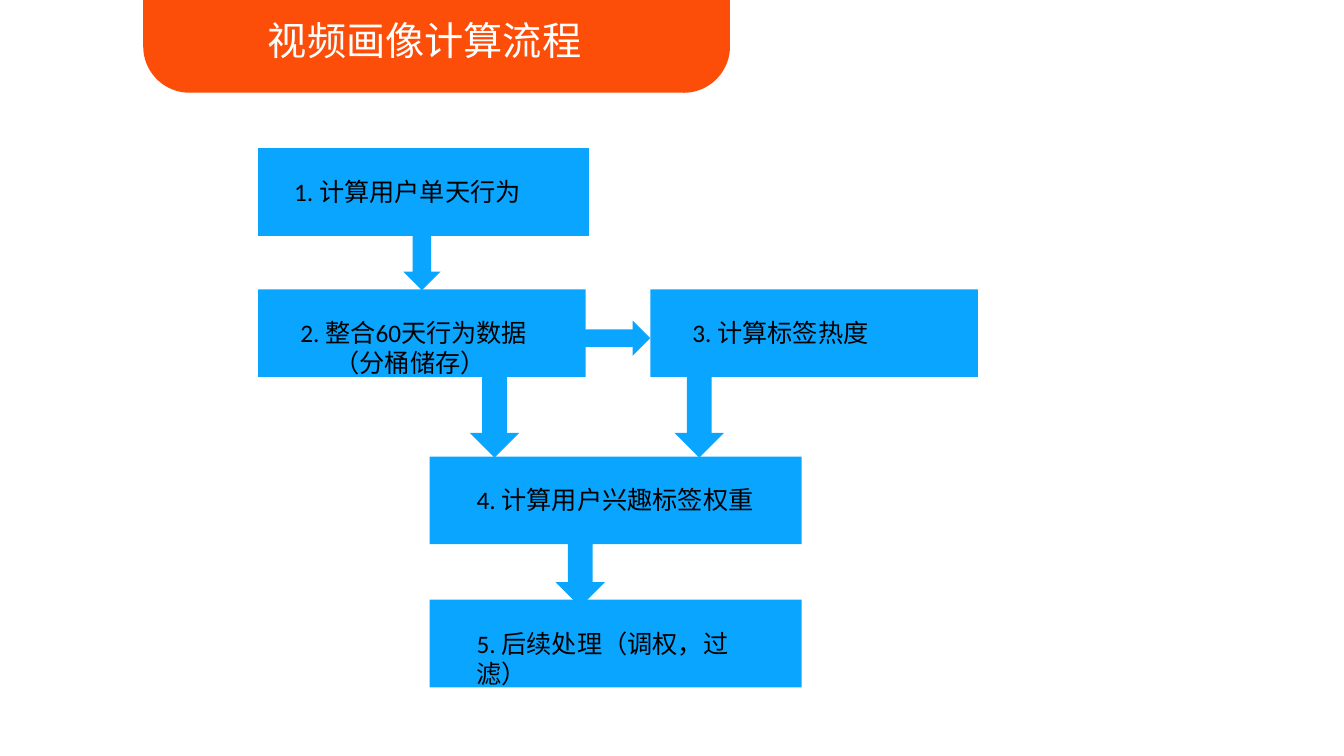
import pptx
import pptx.dml.color
import pptx.enum.shapes
import pptx.enum.text
import pptx.util
from lxml import etree

Inches = pptx.util.Inches
SHAPES = pptx.enum.shapes.MSO_SHAPE
BLUE = "0AA5FF"
BOX_HEIGHT = 0.87
CJK_FONT = "Noto Sans CJK SC"


def paint(color_owner, color):
    """Apply a hex colour to a fill or a font."""
    if hasattr(color_owner, "solid"):
        color_owner.solid()
        color_owner.fore_color.rgb = pptx.dml.color.RGBColor.from_string(color)
    else:
        color_owner.color.rgb = pptx.dml.color.RGBColor.from_string(color)


def add_block(slide, preset, left, top, width, height, color=BLUE):
    """Add a flat preset shape without outline."""
    block = slide.shapes.add_shape(
        preset, Inches(left), Inches(top), Inches(width), Inches(height))
    block.shadow.inherit = False
    paint(block.fill, color)
    block.line.fill.background()
    return block


def add_label(slide, text, left, top, width, height, size, font, color):
    """Add a wrapping text box with uniformly formatted runs."""
    label = slide.shapes.add_textbox(
        Inches(left), Inches(top), Inches(width), Inches(height))
    frame = label.text_frame
    frame.word_wrap = True
    frame.text = text
    for paragraph in frame.paragraphs:
        for run in paragraph.runs:
            run.font.size = pptx.util.Pt(size)
            run.font.name = font
            paint(run.font, color)
            east_asian = etree.SubElement(
                run.font._element, pptx.oxml.ns.qn("a:ea"))
            east_asian.set("typeface", CJK_FONT)
    return frame


def add_banner(slide, title):
    """Add the orange title tab hanging from the top edge."""
    tab = add_block(slide, SHAPES.ROUND_2_SAME_RECTANGLE,
                    1.42, 0, 5.82, 0.92, "FC4E09")
    tab.adjustments[0] = 0.5
    tab.adjustments[1] = 0
    tab.rotation = 180
    heading = add_label(slide, title, 2.56, 0.17, 3.83, 0.5,
                        28, CJK_FONT, "FFFFFF")
    heading.vertical_anchor = pptx.enum.text.MSO_ANCHOR.MIDDLE
    heading.paragraphs[0].line_spacing = 0.9


def add_step(slide, text, left, top, width, text_left, text_width):
    """Add one process box with its caption."""
    add_block(slide, SHAPES.RECTANGLE, left, top, width, BOX_HEIGHT)
    caption = add_label(slide, text, text_left, top + 0.23, text_width, 0.4,
                        18, "Calibri", "000000")
    for note in caption.paragraphs[1:]:
        note._p.get_or_add_pPr().set("marL", str(Inches(0.34)))


def main():
    """Build the video profile calculation flow."""
    deck = pptx.Presentation()
    deck.slide_width, deck.slide_height = Inches(13.33), Inches(7.5)
    slide = deck.slides.add_slide(deck.slide_layouts[6])
    add_banner(slide, "视频画像计算流程")

    steps = [
        ("1. 计算用户单天行为", 2.56, 1.47, 3.28, 2.82, 2.76),
        ("2. 整合60天行为数据\n（分桶储存）", 2.56, 2.87, 3.25, 2.88, 2.73),
        ("3. 计算标签热度", 6.45, 2.87, 3.25, 6.77, 2.73),
        ("4. 计算用户兴趣标签权重", 4.26, 4.53, 3.69, 4.63, 3.1),
        ("5. 后续处理（调权，过滤）", 4.26, 5.95, 3.69, 4.63, 3.1),
    ]
    for step in steps:
        add_step(slide, *step)

    add_block(slide, SHAPES.RIGHT_ARROW, 5.8, 3.18, 0.65, 0.35)
    add_block(slide, SHAPES.DOWN_ARROW, 4, 2.31, 0.37, 0.57)
    for left, top in [(4.66, 3.73), (6.69, 3.73), (5.51, 5.21)]:
        add_block(slide, SHAPES.DOWN_ARROW, left, top, 0.49, 0.81)

    deck.save("out.pptx")


main()
